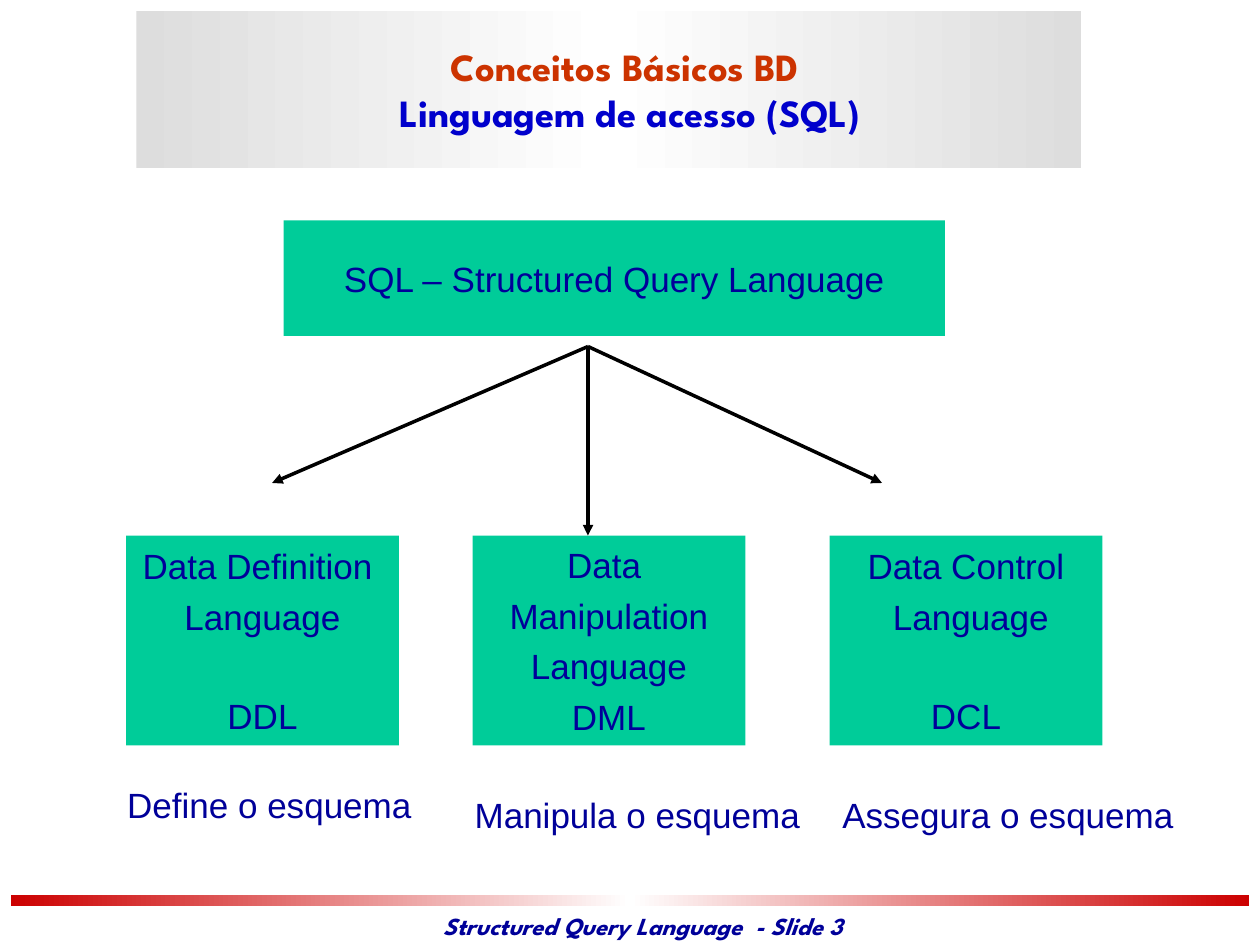
from copy import deepcopy

from lxml.etree import SubElement
from pptx import Presentation
from pptx.dml.color import RGBColor as RGB
from pptx.enum.shapes import MSO_CONNECTOR as Link, MSO_SHAPE as Form
from pptx.enum.text import MSO_ANCHOR as Anchor, PP_ALIGN as Align
from pptx.oxml.ns import qn
from pptx.util import Pt

GREEN = RGB(0x00, 0xCC, 0x99)
NAVY = RGB(0x00, 0x00, 0x99)
BLUE = RGB(0x00, 0x00, 0xCC)
RUST = RGB(0xCC, 0x33, 0x00)
RED = RGB(0xCC, 0x00, 0x00)
GREY = RGB(0xDD, 0xDD, 0xDD)
WHITE = RGB(0xFF, 0xFF, 0xFF)
BLACK = RGB(0x00, 0x00, 0x00)
BODY, HEAD = "Arial", "League Spartan"

BOX_TOP, BOX_W, BOX_H = 306, 156, 120
BOXES = [
    (72, "Data Definition \nLanguage", "DDL", 33),
    (270, "Data \nManipulation\nLanguage", "DML", 5),
    (474, "Data Control\n Language", "DCL", 33),
]
NOTES = [
    (65.5, 444, 177, "Define o esquema"),
    (264, 450, 206, "Manipula o esquema "),
    (474, 450, 204, "Assegura o esquema"),
]
FORK = (336, 198)
TIPS = [(336, 306), (155.5, 276), (504, 276)]


def style(run, size, face, color, bold=False, italic=False):
    font = run.font
    font.size, font.name = Pt(size), face
    font.bold, font.italic = bold, italic
    font.color.rgb = color


def write(frame, text, gap=5, size=20, face=BODY, **look):
    frame.text = text
    for para in frame.paragraphs:
        para.alignment = Align.CENTER
        para.space_before = Pt(gap)
        for run in para.runs:
            style(run, size, face, NAVY, **look)


def add_rect(slide, *place):
    rect = slide.shapes.add_shape(Form.RECTANGLE, *map(Pt, place))
    rect.shadow.inherit = False
    rect.line.fill.background()
    return rect


def add_band(slide, place, edge):
    """Bar that fades from the edge colour to white and back."""
    band = add_rect(slide, *place)
    band.fill.gradient()
    band.fill.gradient_angle = 0
    for stop in band.fill.gradient_stops:
        stop.color.rgb = edge
    first = band.element.find(".//" + qn("a:gs"))
    first.addnext(deepcopy(first))
    mid = band.fill.gradient_stops[1]
    mid.position, mid.color.rgb = 0.5, WHITE


def add_box(slide, place, text):
    box = add_rect(slide, *place)
    box.fill.solid()
    box.fill.fore_color.rgb = GREEN
    frame = box.text_frame
    frame.word_wrap = False
    frame.vertical_anchor = Anchor.MIDDLE
    write(frame, text)
    return frame


def add_note(slide, place, text, **look):
    frame = slide.shapes.add_textbox(*map(Pt, place)).text_frame
    frame.word_wrap = True
    write(frame, text, **look)


def add_arrow(slide, start, end):
    arrow = slide.shapes.add_connector(Link.STRAIGHT, *map(Pt, start + end))
    arrow.line.color.rgb = BLACK
    arrow.line.width = Pt(2)
    SubElement(arrow.line._get_or_add_ln(), qn("a:tailEnd"), type="triangle")
    SubElement(arrow.element.spPr, qn("a:effectLst"))


def set_title(slide):
    title = slide.shapes.title
    title.left, title.top, title.width, title.height = map(Pt, (18, 18, 684, 66))
    frame = title.text_frame
    frame.vertical_anchor = Anchor.MIDDLE
    write(frame, "Conceitos Básicos BD \vLinguagem de acesso (SQL)",
          gap=0, size=22, face=HEAD, bold=True)
    for run, color in zip(frame.paragraphs[0].runs, (RUST, BLUE)):
        run.font.color.rgb = color
    title.element.getparent().append(title.element)  # in front of the band


def main():
    deck = Presentation()
    deck.slide_width, deck.slide_height = Pt(720), Pt(540)
    slide = deck.slides.add_slide(deck.slide_layouts[5])

    add_band(slide, (78, 6, 540, 90), GREY)
    add_band(slide, (6, 511.5, 708, 6), RED)
    add_note(slide, (205, 517, 325, 24), "Structured Query Language  - Slide 3",
             gap=3.5, size=14, face=HEAD, bold=True, italic=True)
    set_title(slide)

    add_box(slide, (162, 126, 378, 66), "SQL – Structured Query Language")
    for left, name, code, gap in BOXES:
        frame = add_box(slide, (left, BOX_TOP, BOX_W, BOX_H), f"{name}\n{code}")
        frame.paragraphs[-1].space_before = Pt(gap)
    for tip in TIPS:
        add_arrow(slide, FORK, tip)
    for left, top, width, text in NOTES:
        add_note(slide, (left, top, width, 32), text)

    deck.save("out.pptx")


if __name__ == "__main__":
    main()
